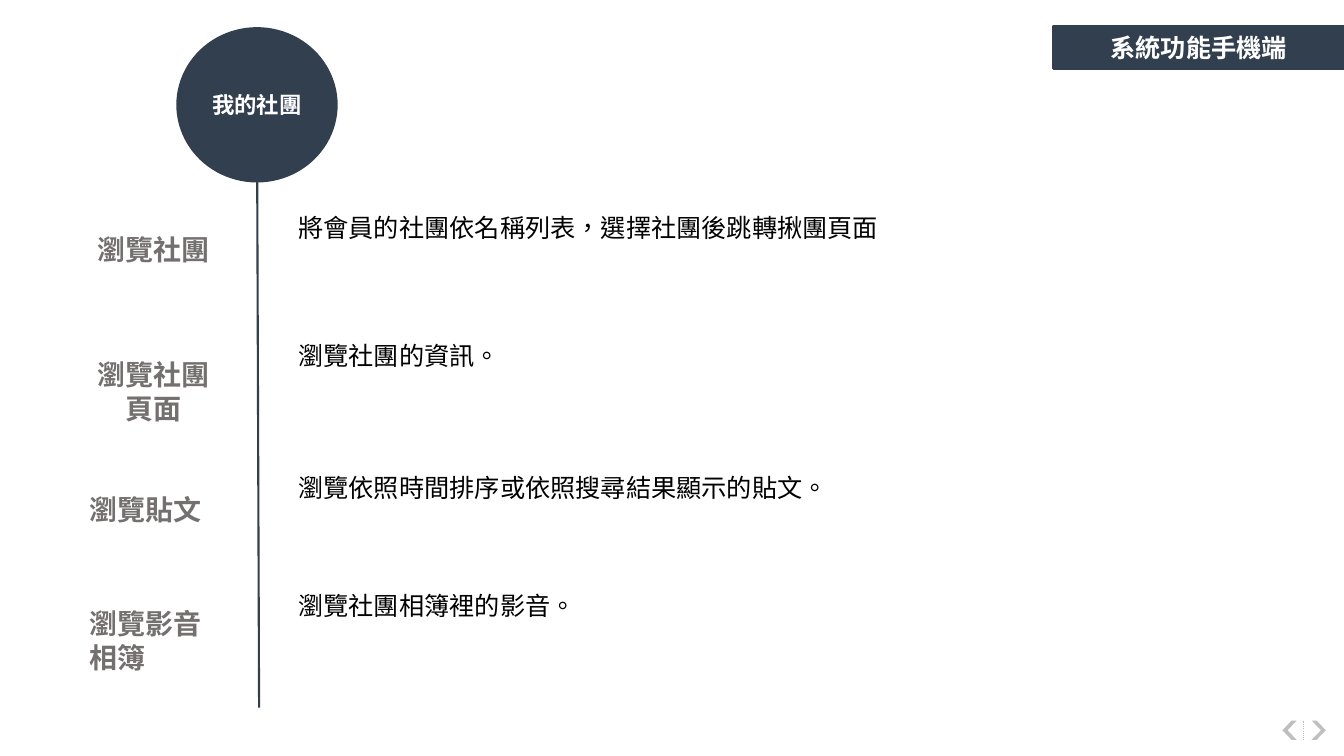
import pptx
import pptx.util
import pptx.dml.color
import pptx.enum.dml
import pptx.enum.shapes
import pptx.enum.text
import pptx.oxml
import pptx.oxml.ns

RGBColor = pptx.dml.color.RGBColor
Shape = pptx.enum.shapes.MSO_SHAPE
Align = pptx.enum.text.PP_ALIGN
Anchor = pptx.enum.text.MSO_ANCHOR

NAVY = RGBColor(0x32, 0x3F, 0x4F)
GREY = RGBColor(0x75, 0x70, 0x70)
LIGHT_GREY = RGBColor(0xBF, 0xBF, 0xBF)
WHITE = RGBColor(0xFF, 0xFF, 0xFF)
BLACK = RGBColor(0, 0, 0)
FONT = "Arial"

SLIDE_WIDTH = pptx.util.Inches(13.33)
SLIDE_HEIGHT = pptx.util.Inches(7.5)

# Columns and sizes, in percent of the slide
LABEL_LEFT, LABEL_WIDTH, LABEL_HEIGHT = 5.93, 11.03, 5.87
DETAIL_LEFT, DETAIL_WIDTH, DETAIL_HEIGHT = 21.46, 47.49, 12.53
ARROW_TOP, ARROW_WIDTH, ARROW_HEIGHT = 95.33, 1.05, 2.53

# Label top, detail top, label alignment, label, detail
FEATURES = [
    (30.13, 26.8, Align.CENTER, "瀏覽社團", "將會員的社團依名稱列表，選擇社團後跳轉揪團頁面"),
    (46.67, 43.73, Align.CENTER, "瀏覽社團頁面", "瀏覽社團的資訊。"),
    (64.53, 61.2, Align.LEFT, "瀏覽貼文", "瀏覽依照時間排序或依照搜尋結果顯示的貼文。"),
    (79.6, 76.8, Align.LEFT, "瀏覽影音相簿", "瀏覽社團相簿裡的影音。"),
]


def place(left, top, width, height):
    """Turn percentages of the slide into lengths."""
    return (int(SLIDE_WIDTH * left / 100), int(SLIDE_HEIGHT * top / 100),
            int(SLIDE_WIDTH * width / 100), int(SLIDE_HEIGHT * height / 100))


def write_text(shape, text, size, color, bold=False, align=Align.LEFT,
               anchor=Anchor.TOP, inset=0.05):
    frame = shape.text_frame
    frame.word_wrap = True
    frame.auto_size = pptx.enum.text.MSO_AUTO_SIZE.NONE
    frame.vertical_anchor = anchor
    frame.margin_left = frame.margin_right = pptx.util.Inches(0.1)
    frame.margin_top = frame.margin_bottom = pptx.util.Inches(inset)
    paragraph = frame.paragraphs[0]
    paragraph.alignment = align
    run = paragraph.add_run()
    run.text = text
    run.font.name = FONT
    run.font.size = pptx.util.Pt(size)
    run.font.bold = bold
    run.font.color.rgb = color
    # East Asian typeface and language
    properties = run.font._element
    properties.set("lang", "zh-TW")
    latin = properties.find(pptx.oxml.ns.qn("a:latin"))
    east_asian = pptx.oxml.parse_xml(
        f'<a:ea {pptx.oxml.ns.nsdecls("a")} typeface="{FONT}"/>')
    latin.addnext(east_asian)


def paint_navy(shape):
    shape.fill.solid()
    shape.fill.fore_color.rgb = NAVY
    shape.line.color.rgb = NAVY
    shape.line.width = pptx.util.Pt(1.5)


def add_banner(slide, text):
    banner = slide.shapes.title
    banner.left, banner.top, banner.width, banner.height = place(78.39, 3.47, 21.61, 5.6)
    paint_navy(banner)
    write_text(banner, text, 18, WHITE, True, Align.CENTER, Anchor.MIDDLE)


def add_topic(slide, text):
    circle = slide.shapes.add_shape(Shape.OVAL, *place(13.2, 3.73, 11.85, 20.27))
    circle.shadow.inherit = False
    paint_navy(circle)
    write_text(circle, text, 16, WHITE, True, Align.CENTER, Anchor.MIDDLE)


def add_line(slide, start, end, color, width):
    line = slide.shapes.add_connector(
        pptx.enum.shapes.MSO_CONNECTOR.STRAIGHT, *place(*start, *end))
    line.line.color.rgb = color
    line.line.width = pptx.util.Pt(width)
    line._element.spPr.append(
        pptx.oxml.parse_xml(f'<a:effectLst {pptx.oxml.ns.nsdecls("a")}/>'))
    return line


def add_text(slide, box, *text_format, **options):
    write_text(slide.shapes.add_textbox(*place(*box)), *text_format, **options)


def add_chevron(slide, left, adjustment, rotation):
    chevron = slide.shapes.add_shape(
        Shape.CHEVRON, *place(left, ARROW_TOP, ARROW_WIDTH, ARROW_HEIGHT))
    chevron.shadow.inherit = False
    chevron.adjustments[0] = adjustment
    chevron.rotation = rotation
    chevron.fill.solid()
    chevron.fill.fore_color.rgb = LIGHT_GREY
    chevron.line.fill.background()


def add_navigation(slide):
    add_chevron(slide, 97.6, 0.66, 0)
    add_chevron(slide, 95.42, 0.64, 180)
    divider = add_line(slide, (97, ARROW_TOP + ARROW_HEIGHT), (97, ARROW_TOP),
                       LIGHT_GREY, 0.75)
    divider.line.dash_style = pptx.enum.dml.MSO_LINE.ROUND_DOT


def main():
    presentation = pptx.Presentation()
    presentation.slide_width = SLIDE_WIDTH
    presentation.slide_height = SLIDE_HEIGHT
    title_only = presentation.slide_layouts[5]
    slide = presentation.slides.add_slide(title_only)

    # Page arrows, then the stem with its topic circle on top
    add_navigation(slide)
    add_line(slide, (19.13, 19.6), (19.28, 93.6), NAVY, 1.5)
    add_topic(slide, "我的社團")
    add_banner(slide, "系統功能手機端")

    # Features on both sides of the stem
    for label_top, detail_top, align, label, detail in FEATURES:
        add_text(slide, (LABEL_LEFT, label_top, LABEL_WIDTH, LABEL_HEIGHT),
                 label, 20, GREY, bold=True, align=align)
        add_text(slide, (DETAIL_LEFT, detail_top, DETAIL_WIDTH, DETAIL_HEIGHT),
                 detail, 18, BLACK, inset=0.1)

    presentation.save("out.pptx")


if __name__ == "__main__":
    main()
